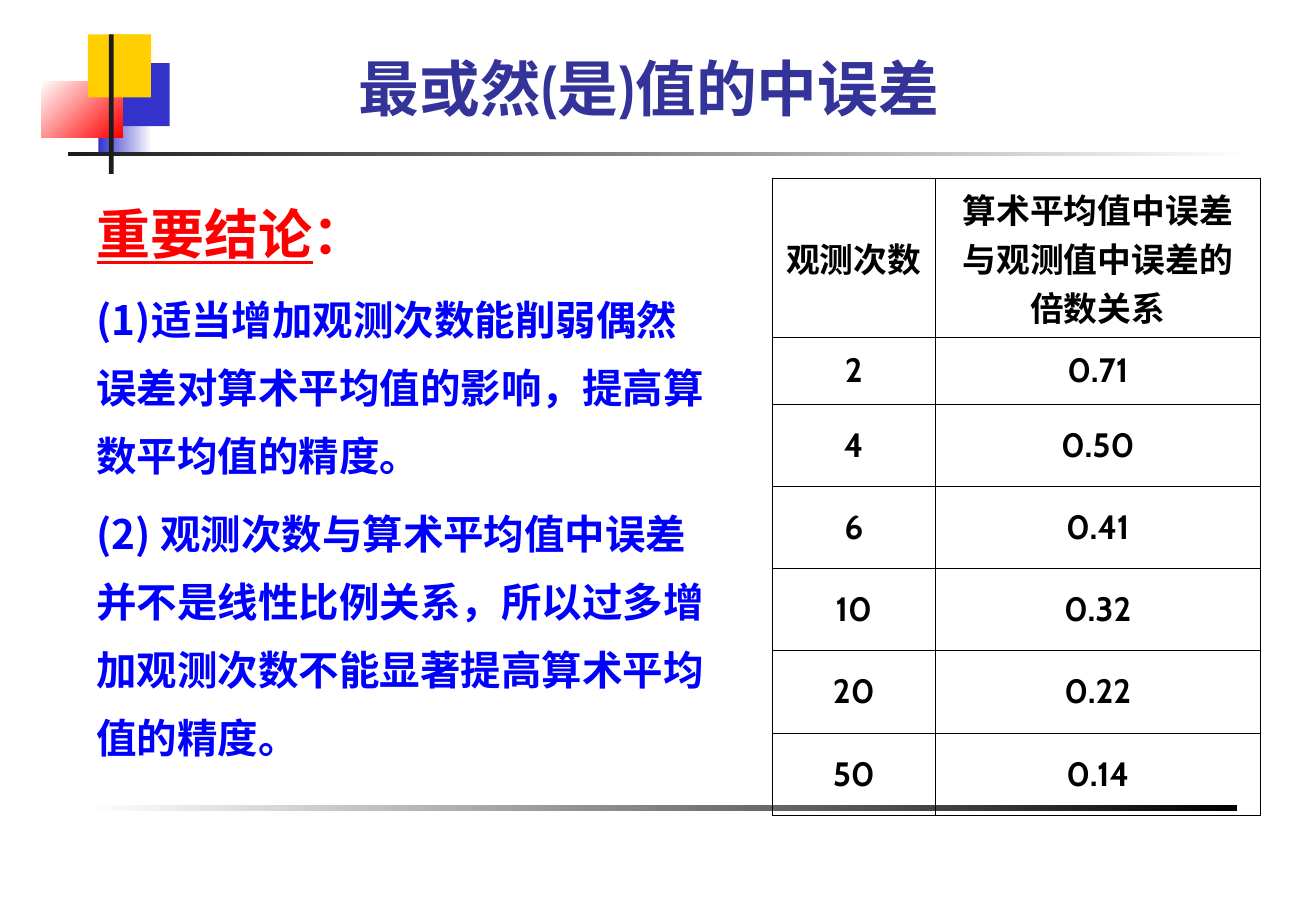
from dataclasses import dataclass

from lxml import etree
from pptx import Presentation
from pptx import util as u
from pptx.dml.color import RGBColor
from pptx.enum import shapes, text
from pptx.oxml.ns import qn


@dataclass(frozen=True)
class Theme:
    latin: str = "Cabin"
    cjk: str = "Noto Sans CJK SC"
    title: str = "333399"
    heading: str = "FF0000"
    body: str = "0000FF"
    ink: str = "000000"
    paper: str = "FFFFFF"
    bar: str = "1C1C1C"
    blue: str = "3333CC"
    yellow: str = "FFCF01"
    title_size: int = 36
    heading_size: int = 32
    body_size: int = 24
    table_size: int = 20
    outer_border: float = 1.08
    inner_border: float = 0.45


THEME = Theme()

# left, top, width, height (cm), fill colours (two make a gradient), angle
ORNAMENTS = [
    (2.06, 1.93, 1.12, 1.32, (THEME.blue, THEME.paper), 0),
    (2.29, 0.72, 0.99, 1.32, (THEME.yellow, THEME.paper), 0),
    (2.29, 1.32, 1.26, 1.32, (THEME.blue,), 0),
    (0.86, 1.7, 1.7, 1.17, (THEME.paper, THEME.heading), 315),
    (1.42, 3.18, 24.77, 0.08, (THEME.bar, THEME.paper), 0),
    (1.83, 16.83, 24.05, 0.14, (THEME.paper, THEME.ink), 0),
    (1.84, 0.72, 1.32, 1.32, (THEME.yellow,), 0),
    (2.28, 0.72, 0.1, 2.92, (THEME.bar,), 0),
]

CONCLUSIONS = [
    "(1)适当增加观测次数能削弱偶然误差对算术平均值的影响，提高算数平均值的精度。",
    "(2) 观测次数与算术平均值中误差并不是线性比例关系，所以过多增加观测次数不能显著提高算术平均值的精度。",
]

ERROR_RATIOS = [
    ("观测次数", "算术平均值中误差与观测值中误差的倍数关系"),
    ("2", "0.71"),
    ("4", "0.50"),
    ("6", "0.41"),
    ("10", "0.32"),
    ("20", "0.22"),
    ("50", "0.14"),
]
COLUMN_WIDTHS = [3.4, 6.81]
ROW_HEIGHTS = [3.33, 1.39] + [1.72] * 5


def style_paragraph(paragraph, size, color, latin, before=0, align=None):
    font = paragraph.font
    font.name, font.size, font.bold = latin, u.Pt(size), True
    font.color.rgb = RGBColor.from_string(color)
    defaults = paragraph._p.pPr.find(qn("a:defRPr"))
    etree.SubElement(defaults, qn("a:ea")).set("typeface", THEME.cjk)
    paragraph.space_before = u.Pt(before)
    paragraph.alignment = align


def add_ornament(slide, left, top, width, height, colors, angle):
    block = slide.shapes.add_shape(
        shapes.MSO_SHAPE.RECTANGLE, u.Cm(left), u.Cm(top), u.Cm(width), u.Cm(height))
    block.shadow.inherit = False
    block.line.fill.background()
    if len(colors) == 1:
        block.fill.solid()
        block.fill.fore_color.rgb = RGBColor.from_string(colors[0])
        return
    block.fill.gradient()
    block.fill.gradient_angle = angle
    for stop, color in zip(block.fill.gradient_stops, colors):
        stop.color.rgb = RGBColor.from_string(color)


def set_title(slide, wording):
    title = slide.shapes.title
    title.left, title.top = u.Cm(2.96), u.Cm(0.93)
    title.width, title.height = u.Cm(21.23), u.Cm(1.78)
    frame = title.text_frame
    frame.text = wording
    frame.auto_size = text.MSO_AUTO_SIZE.NONE
    frame.vertical_anchor = text.MSO_ANCHOR.BOTTOM
    style_paragraph(frame.paragraphs[0], THEME.title_size, THEME.title,
                    THEME.latin, align=text.PP_ALIGN.CENTER)


def add_conclusions(slide, heading, conclusions):
    frame = slide.shapes.add_textbox(
        u.Cm(1.77), u.Cm(3.53), u.Cm(13.41), u.Cm(12.95)).text_frame
    frame.word_wrap = True
    heading_line = frame.paragraphs[0]
    underlined = heading_line.add_run()
    underlined.text = heading
    underlined.font.underline = True
    heading_line.add_run().text = "："
    style_paragraph(heading_line, THEME.heading_size, THEME.heading, THEME.cjk, before=8)
    for conclusion in conclusions:
        line = frame.add_paragraph()
        line.text = conclusion
        style_paragraph(line, THEME.body_size, THEME.body, THEME.cjk, before=6)
    for paragraph in frame.paragraphs:
        paragraph.line_spacing = 1.4


def set_borders(cell, outer_sides):
    properties = cell._tc.get_or_add_tcPr()
    for index, side in enumerate(("lnL", "lnR", "lnT", "lnB")):
        width = THEME.outer_border if side in outer_sides else THEME.inner_border
        border = etree.Element(qn(f"a:{side}"), w=str(int(u.Pt(width))))
        fill = etree.SubElement(border, qn("a:solidFill"))
        etree.SubElement(fill, qn("a:srgbClr"), val=THEME.ink)
        properties.insert(index, border)


def add_ratio_table(slide, rows):
    table = slide.shapes.add_table(
        len(rows), len(COLUMN_WIDTHS), u.Cm(16.16), u.Cm(3.73),
        u.Cm(sum(COLUMN_WIDTHS)), u.Cm(sum(ROW_HEIGHTS))).table
    table.first_row = table.horz_banding = False
    for column, width in zip(table.columns, COLUMN_WIDTHS):
        column.width = u.Cm(width)
    for row, height in zip(table.rows, ROW_HEIGHTS):
        row.height = u.Cm(height)
    for r, values in enumerate(rows):
        for c, value in enumerate(values):
            cell = table.cell(r, c)
            cell.text = value
            cell.vertical_anchor = text.MSO_ANCHOR.MIDDLE
            cell.fill.background()
            style_paragraph(cell.text_frame.paragraphs[0], THEME.table_size, THEME.ink,
                            THEME.latin, before=5, align=text.PP_ALIGN.CENTER)
            outer_sides = {"lnL" if c == 0 else "lnR"}
            if r == 0:
                outer_sides.add("lnT")
            if r == len(rows) - 1:
                outer_sides.add("lnB")
            set_borders(cell, outer_sides)


def main():
    deck = Presentation()
    deck.slide_width, deck.slide_height = u.Cm(27.53), u.Cm(19.05)
    slide = deck.slides.add_slide(deck.slide_layouts.get_by_name("Title Only"))

    # Corner blocks and rules
    for ornament in ORNAMENTS:
        add_ornament(slide, *ornament)

    # Title, conclusions and table
    set_title(slide, "最或然(是)值的中误差")
    add_conclusions(slide, "重要结论", CONCLUSIONS)
    add_ratio_table(slide, ERROR_RATIOS)

    deck.save("out.pptx")


if __name__ == "__main__":
    main()
